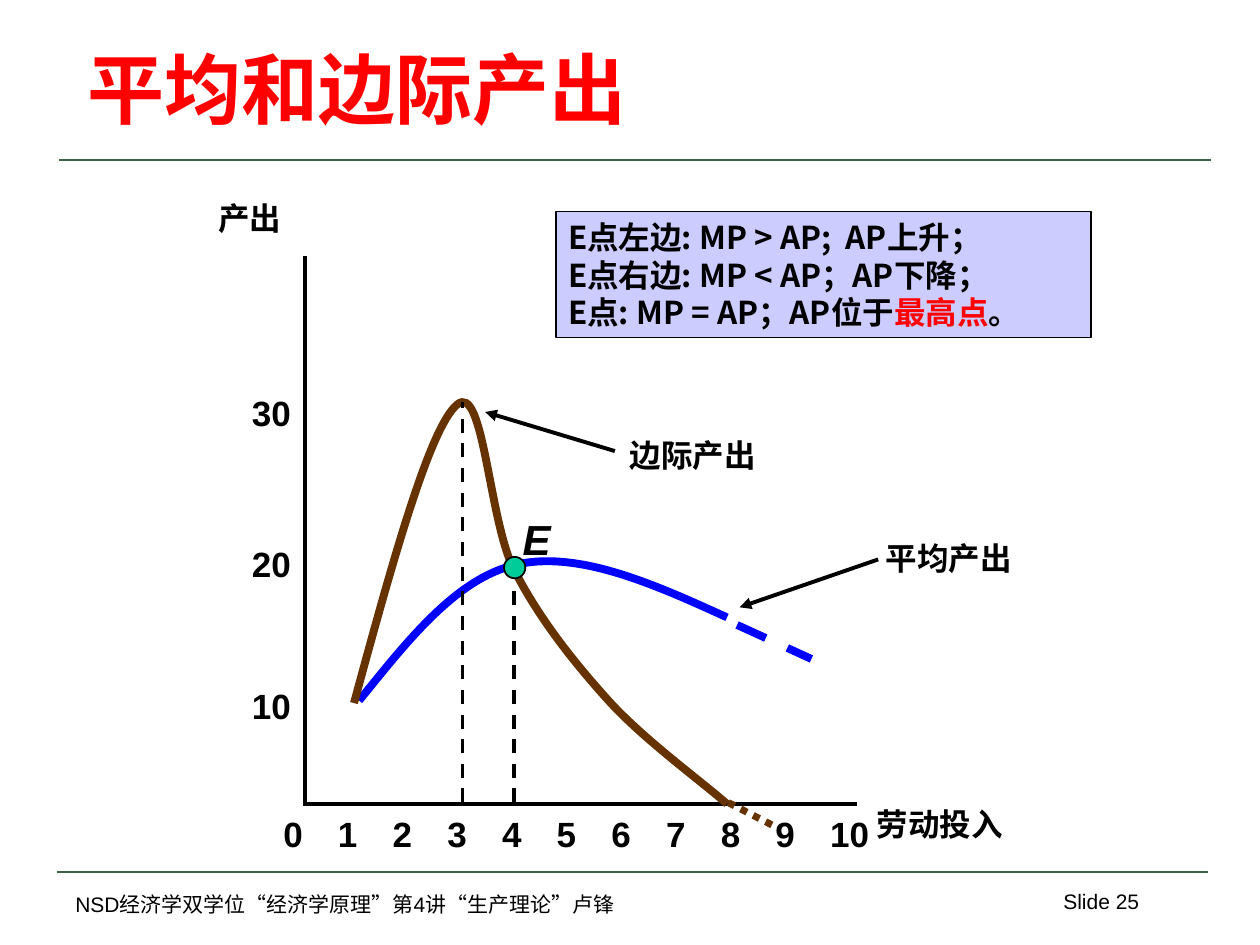
from collections import namedtuple
from lxml.etree import SubElement
from pptx import Presentation
from pptx.dml.color import RGBColor
from pptx.enum.dml import MSO_LINE as Dash
from pptx.enum.shapes import MSO_CONNECTOR as Link, MSO_SHAPE as Shape
from pptx.enum.text import MSO_ANCHOR as Anchor, PP_ALIGN as Align
from pptx.oxml.ns import qn
from pptx.util import Pt

PX = 9144  # 100 px to the inch


class Theme:
    latin, asian = "Arial", "Noto Sans CJK SC"
    black, red, green = "000000", "FF0000", "376546"
    blue, brown, teal, lilac = "0000FF", "663300", "00CC99", "CCCCFF"
    rule, axis, arrow, curve, edge = 1.5, 2, 2.25, 4.5, 1


Style = namedtuple("Style", "size color bold italic font",
                   defaults=(Theme.black, True, False, Theme.latin))
TITLE = Style(44, Theme.red)
FOOT = Style(12, bold=False)
LABEL = Style(18)
TICK = Style(20)
POINT = Style(24, italic=True)
NOTE = Style(18, font=Theme.asian)

# text, box, style, alignment, wrap
FRAME = [
    ("NSD经济学双学位“经济学原理”第4讲“生产理论”卢锋", (50, 703, 630, 30), FOOT, Align.LEFT, True),
    ("Slide 25", (794, 700, 120, 50), FOOT, Align.RIGHT, True),
]
LABELS = [
    ("产出", (131, 153, 102, 40), LABEL, Align.RIGHT, True),
    ("劳动投入", (686, 634, 120, 40), LABEL, Align.LEFT, False),
    ("平均产出", (693, 423, 120, 40), LABEL, Align.LEFT, False),
    ("边际产出", (490, 341, 120, 40), LABEL, Align.LEFT, False),
    ("E", (405, 403, 42, 50), POINT, Align.LEFT, False),
]
LABOR = range(11)
LABOR_X, LABOR_Y, STEP = 215, 640, 43.4
OUTPUT = {"30": 306, "20": 426, "10": 538}
OUTPUT_X = 190

RULES = [(47, 127, 961, 127), (45, 692, 959, 692)]
AXES = [(242, 203, 242, 640), (242, 638, 680, 638)]
ARROWS = [(697, 444, 587, 482), (488, 358, 385, 327)]
DROP_E = (408, 637, 408, 461)
DROP_TOP = (367, 637, 367, 319)
AP_TAIL = (585, 496, 644, 523)
MP_TAIL = (578, 637, 617, 657)

# start point, then two handles and an end point for each arc
AP = [(285, 556), (324, 508), (362, 459), (410, 448),
      (459, 437), (518, 463), (577, 490)]
MP = [(281, 558), (311, 448), (341, 339), (363, 321),
      (384, 303), (388, 413), (408, 452),
      (428, 491), (455, 525), (483, 556),
      (511, 587), (558, 621), (577, 638)]
DOT = (400, 442, 17, 17)

NOTE_BOX = (441, 168, 425, 100)
NOTES = [
    [("E点左边: MP > AP;  AP上升；", NOTE)],
    [("E点右边: MP < AP；AP下降；", NOTE)],
    [("E点: MP = AP；AP位于", NOTE),
     ("最高点", NOTE._replace(color=Theme.red)), ("。", NOTE)],
]


def emu(nums):
    return [round(n * PX) for n in nums]


def ink(line, color, width):
    line.color.rgb = RGBColor.from_string(color)
    line.width = Pt(width)


def dress(run, style):
    font = run.font
    font.size, font.name = Pt(style.size), style.font
    font.bold, font.italic = style.bold, style.italic
    font.color.rgb = RGBColor.from_string(style.color)
    SubElement(run._r.get_or_add_rPr(), qn("a:ea")).set("typeface", Theme.asian)


def write(slide, text, box, style, align=Align.LEFT, wrap=False):
    frame = slide.shapes.add_textbox(*emu(box)).text_frame
    frame.text, frame.word_wrap = text, wrap
    para = frame.paragraphs[0]
    para.alignment = align
    dress(para.runs[0], style)
    return frame


def draw(slide, ends, color, width, dash=None, arrow=False):
    link = slide.shapes.add_connector(Link.STRAIGHT, *emu(ends))
    ink(link.line, color, width)
    if dash:
        link.line.dash_style = dash
    if arrow:
        SubElement(link.line._get_or_add_ln(), qn("a:tailEnd")).set("type", "triangle")
    SubElement(link._element.spPr, qn("a:effectLst"))


def bend(slide, points, color):
    """Draw an open curve, joining each three points into one cubic arc."""
    first, *rest = [emu(p) for p in points]
    build = slide.shapes.build_freeform(*first)
    build.add_line_segments(rest, close=False)
    curve = build.convert_to_shape()
    curve.fill.background()
    curve.shadow.inherit = False
    ink(curve.line, color, Theme.curve)
    track = curve._element.find(".//" + qn("a:path"))
    steps = track.findall(qn("a:lnTo"))
    for i in range(0, len(steps), 3):
        arc = SubElement(track, qn("a:cubicBezTo"))
        for step in steps[i:i + 3]:
            arc.append(step[0])
            track.remove(step)


def block(slide, kind, box, color):
    shape = slide.shapes.add_shape(kind, *emu(box))
    shape.shadow.inherit = False
    shape.fill.solid()
    shape.fill.fore_color.rgb = RGBColor.from_string(color)
    ink(shape.line, Theme.black, Theme.edge)
    return shape


def explain(slide):
    frame = block(slide, Shape.RECTANGLE, NOTE_BOX, Theme.lilac).text_frame
    frame.word_wrap, frame.vertical_anchor = True, Anchor.TOP
    for i, parts in enumerate(NOTES):
        para = frame.add_paragraph() if i else frame.paragraphs[0]
        para.alignment = Align.LEFT
        for text, style in parts:
            run = para.add_run()
            run.text = text
            dress(run, style)


def main():
    deck = Presentation()
    deck.slide_width, deck.slide_height = emu((1000, 750))
    slide = deck.slides.add_slide(deck.slide_layouts[6])

    for ends in RULES:
        draw(slide, ends, Theme.green, Theme.rule)
    for item in FRAME:
        write(slide, *item)
    title = write(slide, "平均和边际产出", (60, 26, 873, 85), TITLE, wrap=True)
    title.vertical_anchor = Anchor.BOTTOM

    bend(slide, AP, Theme.blue)
    draw(slide, AP_TAIL, Theme.blue, Theme.curve, Dash.DASH)
    for ends in AXES:
        draw(slide, ends, Theme.black, Theme.axis)
    for n in LABOR:
        wide = 51 if n > 9 else 35
        write(slide, str(n), (LABOR_X + n * STEP, LABOR_Y, wide, 43), TICK)
    for text, top in OUTPUT.items():
        write(slide, text, (OUTPUT_X, top, 51, 43), TICK)
    for item in LABELS:
        write(slide, *item)

    draw(slide, DROP_E, Theme.black, Theme.axis, Dash.DASH)
    draw(slide, MP_TAIL, Theme.brown, 4, Dash.ROUND_DOT)
    bend(slide, MP, Theme.brown)
    block(slide, Shape.OVAL, DOT, Theme.teal)
    draw(slide, DROP_TOP, Theme.black, Theme.axis, Dash.DASH)
    for ends in ARROWS:
        draw(slide, ends, Theme.black, Theme.arrow, arrow=True)
    explain(slide)
    deck.save("out.pptx")


if __name__ == "__main__":
    main()
